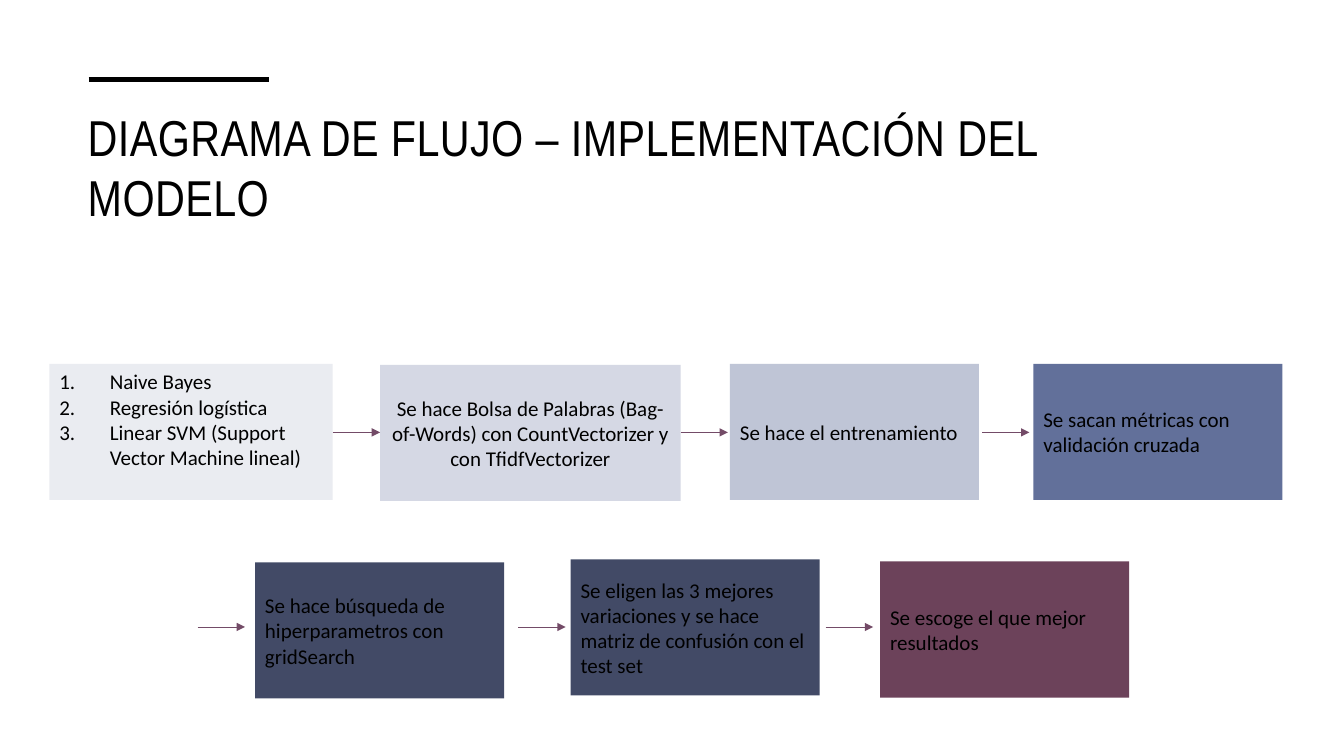
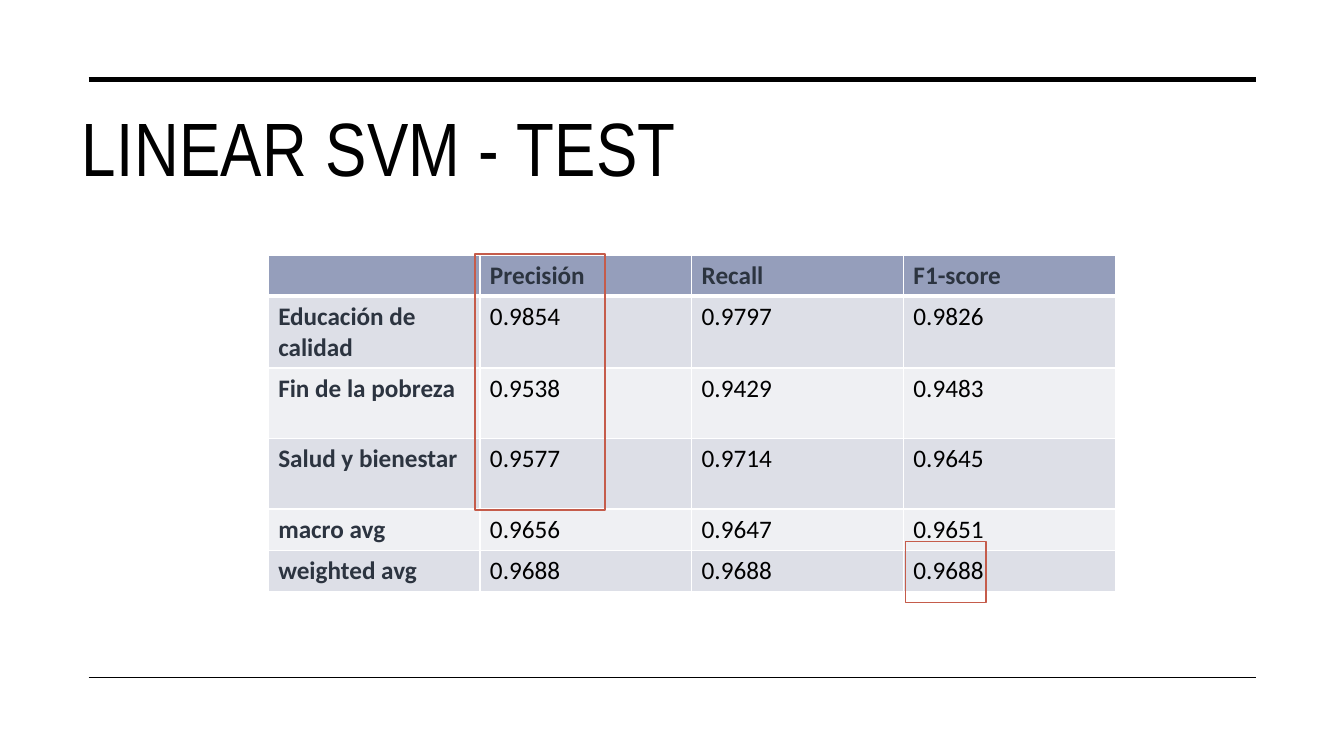
from lxml.etree import SubElement
from pptx import Presentation
from pptx.dml.color import RGBColor
from pptx.enum.shapes import MSO_CONNECTOR, MSO_SHAPE
from pptx.enum.text import MSO_ANCHOR, PP_ALIGN
from pptx.oxml.ns import qn
from pptx.util import Pt

# Scale and palette
PX = 9144  # 100 px to the inch
BLACK = RGBColor(0x00, 0x00, 0x00)
WHITE = RGBColor(0xFF, 0xFF, 0xFF)
INK = RGBColor(0x2C, 0x34, 0x40)
PLUM = RGBColor(0x73, 0x4B, 0x67)
WINE = RGBColor(0x6C, 0x42, 0x5A)
RED = RGBColor(0xC5, 0x5C, 0x4B)
NAVY = RGBColor(0x42, 0x4A, 0x66)
BLUE = RGBColor(0x62, 0x70, 0x9A)
SKY = RGBColor(0xBF, 0xC5, 0xD6)
MIST = RGBColor(0xD5, 0xD8, 0xE4)
PALE = RGBColor(0xEA, 0xEC, 0xF1)
HEAD = RGBColor(0x95, 0x9E, 0xBB)
BANDS = [RGBColor(0xDD, 0xDF, 0xE7), RGBColor(0xEF, 0xF0, 0xF3)]


def write(frame, text, size=15, font="Calibri", color=BLACK, bold=False,
          align=PP_ALIGN.LEFT, anchor=MSO_ANCHOR.MIDDLE, count=False, space=0):
    """Fill a text frame, one paragraph for each line of text."""
    frame.word_wrap = True
    frame.vertical_anchor = anchor
    for i, line in enumerate(text.split("\n")):
        para = frame.add_paragraph() if i else frame.paragraphs[0]
        para.alignment = align
        run = para.add_run()
        run.text = line
        face = run.font
        face.name, face.size, face.bold = font, Pt(size), bold
        face.color.rgb = color
        if space:
            face._element.set("spc", str(space))
        if count:
            props = para._p.get_or_add_pPr()
            props.set("marL", str(50 * PX))
            props.set("indent", str(-50 * PX))
            SubElement(props, qn("a:buAutoNum"), type="arabicPeriod")


class Deck:
    def __init__(self):
        self.show = Presentation()
        self.show.slide_width = 1333 * PX
        self.show.slide_height = 750 * PX
        self.slide = None

    def page(self, title, at, size, end):
        """Start a slide with its title and the thick rule above it."""
        self.slide = self.show.slides.add_slide(self.show.slide_layouts[5])
        head = self.slide.shapes.title
        head.left, head.top, head.width, head.height = [n * PX for n in at]
        write(head.text_frame, title, size=size, font="Arial Narrow",
              anchor=MSO_ANCHOR.TOP, space=30)
        self.line(88, 79, end, 79, BLACK, 3.5)

    def line(self, x1, y1, x2, y2, color, width, arrow=False):
        ends = [n * PX for n in (x1, y1, x2, y2)]
        link = self.slide.shapes.add_connector(MSO_CONNECTOR.STRAIGHT, *ends)
        link.line.color.rgb = color
        link.line.width = Pt(width)
        if arrow:
            SubElement(link.line._get_or_add_ln(), qn("a:tailEnd"), type="triangle")
        SubElement(link._element.spPr, qn("a:effectLst"))

    def box(self, x, y, w, h, fill=None, edge=None, text="", **style):
        area = [n * PX for n in (x, y, w, h)]
        rect = self.slide.shapes.add_shape(MSO_SHAPE.RECTANGLE, *area)
        rect.shadow.inherit = False
        if fill is None:
            rect.fill.background()
        else:
            rect.fill.solid()
            rect.fill.fore_color.rgb = fill
        if edge is None:
            rect.line.fill.background()
        else:
            rect.line.color.rgb = edge
            rect.line.width = Pt(1)
        if text:
            write(rect.text_frame, text, **style)

    def grid(self, x, y, wide, highs, rows):
        cols = len(rows[0])
        frame = self.slide.shapes.add_table(
            len(rows), cols, x * PX, y * PX, cols * wide * PX, sum(highs) * PX)
        table = frame.table
        for col in table.columns:
            col.width = wide * PX
        for r, row in enumerate(rows):
            table.rows[r].height = highs[r] * PX
            for c, text in enumerate(row):
                cell = table.cell(r, c)
                self.edges(cell, top=3 if r == 1 else 1, low=1 if r else 3)
                cell.fill.solid()
                cell.fill.fore_color.rgb = BANDS[(r - 1) % 2] if r else HEAD
                label = r == 0 or c == 0
                write(cell.text_frame, text, size=18, bold=label,
                      color=INK if label else BLACK, anchor=MSO_ANCHOR.TOP)

    def edges(self, cell, top, low):
        props = cell._tc.get_or_add_tcPr()
        for side, width in zip("LRTB", (1, 1, top, low)):
            line = SubElement(props, qn("a:ln" + side), w=str(Pt(width)))
            fill = SubElement(line, qn("a:solidFill"))
            SubElement(fill, qn("a:srgbClr"), val=str(WHITE))


def flow(deck):
    deck.page("DIAGRAMA DE FLUJO – IMPLEMENTACIÓN DEL MODELO",
              (77, 100, 1081, 161), 36, 267)
    # Steps
    high = 135
    deck.box(49, 361, 281, high, PALE,
             text="Naive Bayes\nRegresión logística\n"
                  "Linear SVM (Support Vector Machine lineal)",
             count=True, anchor=MSO_ANCHOR.TOP)
    deck.box(377, 362, 298, high, MIST,
             text="Se hace Bolsa de Palabras (Bag-of-Words) con "
                  "CountVectorizer y con TfidfVectorizer",
             align=PP_ALIGN.CENTER)
    steps = [
        (724, 361, SKY, "Se hace el entrenamiento"),
        (1025, 361, BLUE, "Se sacan métricas con validación cruzada"),
        (253, 558, NAVY, "Se hace búsqueda de hiperparametros con gridSearch"),
        (566, 555, NAVY, "Se eligen las 3 mejores variaciones y se hace "
                         "matriz de confusión con el test set"),
        (873, 557, WINE, "Se escoge el que mejor resultados"),
    ]
    for x, y, fill, text in steps:
        deck.box(x, y, 247, high, fill, text=text)
    # Arrows, one list of starts for each row
    for y, starts in ((429, (330, 675, 974)), (622, (196, 514, 819))):
        for x in starts:
            deck.line(x, y, x + 47, y, PLUM, 0.5, arrow=True)


def scores(deck):
    deck.page("LINEAR SVM - TEST", (71, 95, 1195, 123), 54, 1246)
    deck.line(88, 672, 1246, 672, BLACK, 1)
    # Results
    deck.grid(266, 253, 210, [41, 70, 70, 70, 41, 41], [
        ("", "Precisión", "Recall", "F1-score"),
        ("Educación de calidad", "0.9854", "0.9797", "0.9826"),
        ("Fin de la pobreza", "0.9538", "0.9429", "0.9483"),
        ("Salud y bienestar", "0.9577", "0.9714", "0.9645"),
        ("macro avg", "0.9656", "0.9647", "0.9651"),
        ("weighted avg", "0.9688", "0.9688", "0.9688"),
    ])
    # Frames around the key scores
    deck.box(471, 252, 129, 254, edge=RED)
    deck.box(898, 537, 80, 61, edge=RED)


def main():
    deck = Deck()
    flow(deck)
    scores(deck)
    deck.show.save("out.pptx")


if __name__ == "__main__":
    main()
